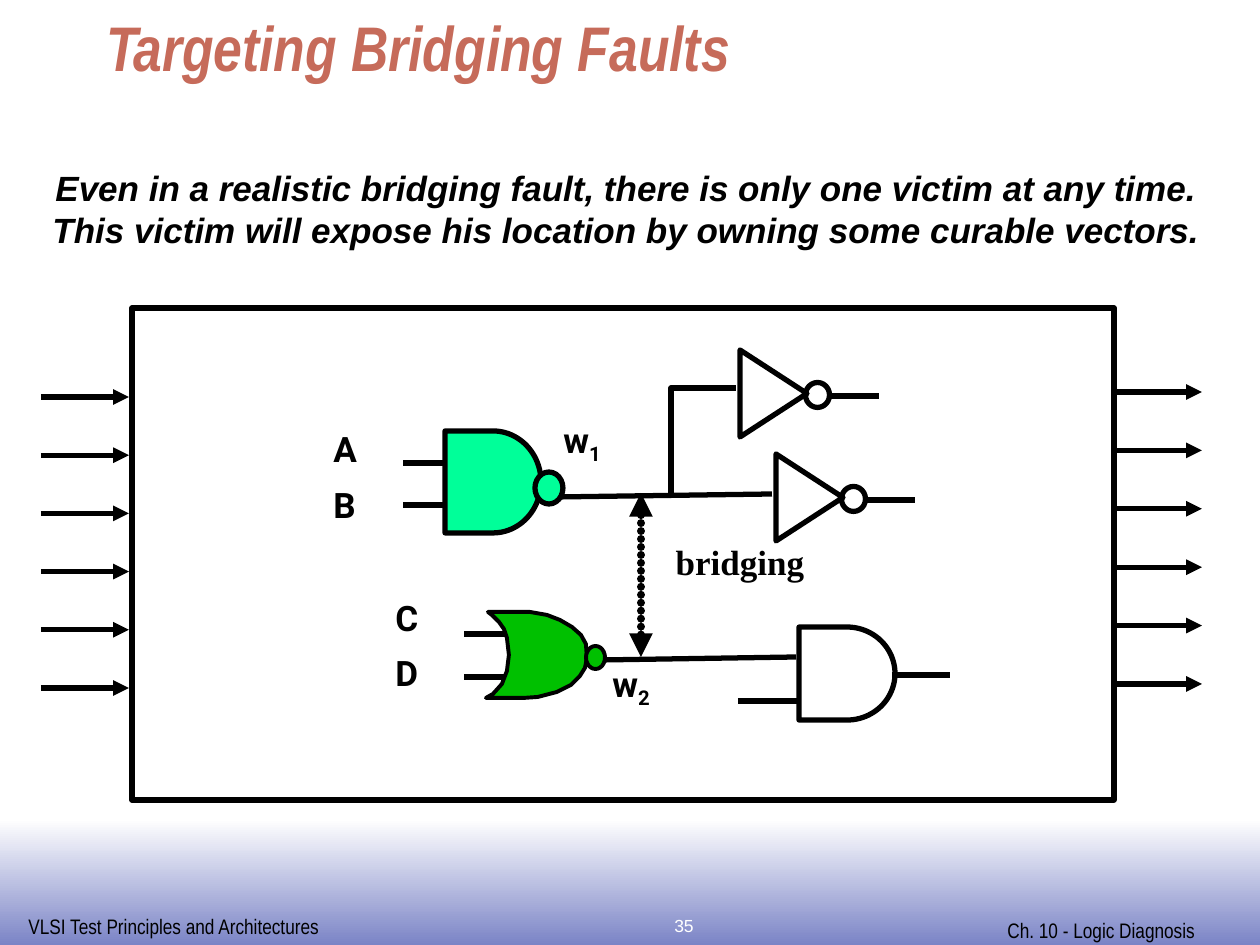
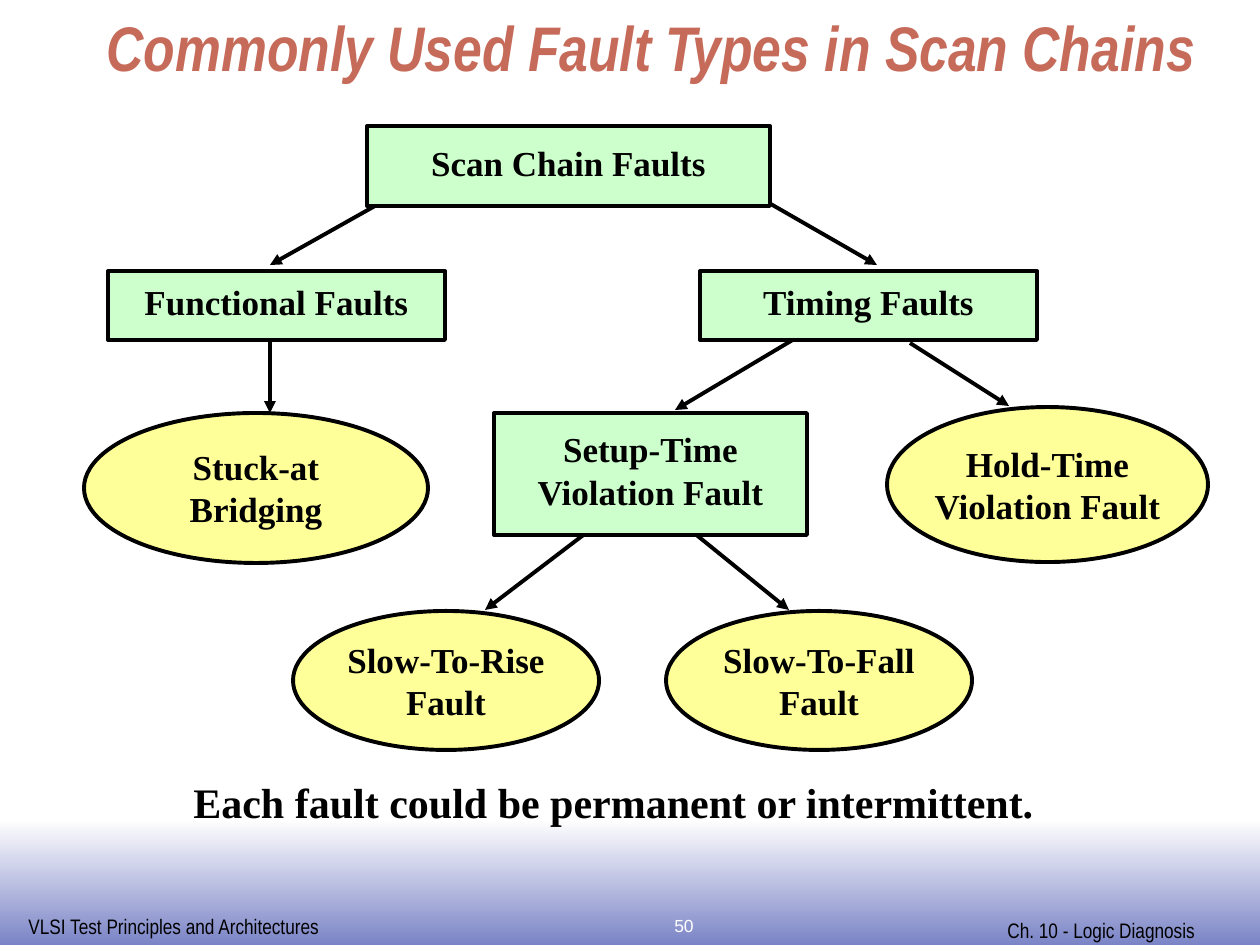
from lxml import etree
from pptx import Presentation
from pptx.dml.color import RGBColor
from pptx.enum.shapes import MSO_CONNECTOR, MSO_SHAPE as Preset
from pptx.enum.text import MSO_ANCHOR as Anchor, PP_ALIGN as Align
from pptx.oxml.ns import qn
from pptx.util import Emu, Pt

SCALE = 914400 / 126  # EMU in one px
COLORS = {
    "title": "C66B5A", "ink": "000000", "white": "FFFFFF", "band": "7B84C6",
    "nand": "00FF99", "nor": "00C000", "group": "CCFFCC", "leaf": "FFFF99",
}
SANS, NARROW, LABEL, SERIF = "Arial", "Arial Narrow", "Roboto", "Times New Roman"

# Shared footers: text, box
FOOTERS = [
    ("VLSI Test Principles and Architectures", (16, 907, 319, 38)),
    ("Ch. 10 - Logic Diagnosis", (995, 911, 247, 38)),
]
NUMBER_BOX = (537, 909, 294, 36)

# Bridging slide
INTRO = [
    "Even in a realistic bridging fault, there is only one victim at any time.",
    "This victim will expose his location by owning some curable vectors.",
]
CIRCUIT = (132, 308, 982, 492)
PIN_COUNT = 6
# start x, end x, first y, last y
PIN_COLUMNS = [(41, 129, 397, 688), (1115, 1202, 392, 684)]
INPUT_LABELS = [("A", 321, 421), ("B", 321, 477), ("C", 383, 590), ("D", 383, 645)]
WIRE_LABELS = [("w", "1", 551, 412), ("w", "2", 600, 656)]
WIRES = [
    (601, 660, 796, 657), (557, 497, 772, 494),     # w2 and w1
    (505, 634, 464, 634), (505, 677, 464, 677),     # NOR inputs
    (445, 463, 403, 463), (445, 505, 403, 505),     # NAND inputs
    (738, 701, 798, 701), (892, 675, 950, 675),     # AND input and output
]
BRANCH = [(671, 495), (671, 388), (736, 388)]
BRIDGE = (641, 493, 641, 657)
GATES = [
    (Preset.FLOWCHART_DELAY, (445, 431, 96, 102), "nand"),
    (Preset.OVAL, (535, 472, 28, 32), "nand"),
    (Preset.FLOWCHART_DELAY, (799, 627, 96, 93), None),
]
INVERTER_OFFSETS = [(0, 0), (36, 104)]
NOR_OUTLINE = [
    (488, 612), (530, 612), (547, 615), (560, 620), (572, 627), (581, 635),
    (586, 644), (587, 658), (585, 668), (580, 676), (571, 685), (557, 692),
    (538, 697), (524, 698), (486, 698), (493, 694), (502, 684), (507, 671),
    (509, 655), (507, 638), (504, 629), (499, 622), (492, 615),
]
NOR_BUBBLE = (586, 646, 19, 23)

# Fault tree slide
GROUPS = [
    (["Scan Chain Faults"], (367, 126, 403, 80)),
    (["Functional Faults"], (108, 271, 337, 69)),
    (["Timing Faults"], (700, 271, 337, 69)),
    (["Setup-Time", "Violation Fault"], (494, 413, 313, 122)),
]
LEAVES = [
    (["Stuck-at", "Bridging"], (84, 413, 344, 150)),
    (["Hold-Time", "Violation Fault"], (887, 407, 321, 155)),
    (["Slow-To-Rise", "Fault"], (293, 611, 306, 139)),
    (["Slow-To-Fall", "Fault"], (666, 611, 306, 139)),
]
BRANCHES = [
    (375, 206, 270, 265), (769, 203, 877, 265), (270, 338, 270, 413),
    (796, 338, 675, 410), (910, 343, 1009, 406),
    (586, 533, 485, 610), (694, 533, 789, 610),
]
SUMMARY = "Each fault could be permanent or intermittent."


def px(*lengths):
    return [Emu(round(length * SCALE)) for length in lengths]


def color(name):
    return RGBColor.from_string(COLORS[name])


def write(shape, lines, font, size, ink="ink", bold=False, italic=False,
          align=Align.LEFT, spacing=None, gap=0, wrap=False, anchor=Anchor.TOP):
    frame = shape.text_frame
    frame.text = "\n".join(lines)
    frame.word_wrap = wrap
    frame.vertical_anchor = anchor
    for index, paragraph in enumerate(frame.paragraphs):
        paragraph.alignment = align
        if spacing:
            paragraph.line_spacing = spacing
        if index and gap:
            paragraph.space_before = Pt(gap)
        for run in paragraph.runs:
            style = run.font
            style.name, style.size = font, Pt(size)
            style.bold, style.italic = bold, italic
            style.color.rgb = color(ink)


def add_text(slide, box, lines, font, size, **options):
    shape = slide.shapes.add_textbox(*px(*box))
    write(shape, lines, font, size, **options)
    return shape


def paint(shape, fill=None, width=3):
    shape.shadow.inherit = False
    if fill:
        shape.fill.solid()
        shape.fill.fore_color.rgb = color(fill)
    else:
        shape.fill.background()
    shape.line.color.rgb = color("ink")
    shape.line.width = Pt(width)


def add_shape(slide, preset, box, fill=None, width=3, rotation=0):
    shape = slide.shapes.add_shape(preset, *px(*box))
    shape.rotation = rotation
    paint(shape, fill, width)
    return shape


def add_outline(slide, points, close, fill=None, width=3):
    builder = slide.shapes.build_freeform(*points[0], scale=SCALE)
    builder.add_line_segments(points[1:], close=close)
    paint(builder.convert_to_shape(), fill, width)


def add_line(slide, ends, width=3, arrows=(), dotted=False):
    line = slide.shapes.add_connector(MSO_CONNECTOR.STRAIGHT, *px(*ends))
    line.line.color.rgb = color("ink")
    line.line.width = Pt(width)
    outline = line.line._get_or_add_ln()
    if dotted:
        outline.set("cap", "rnd")
        dashes = etree.SubElement(outline, qn("a:custDash"))
        etree.SubElement(dashes, qn("a:ds"), d="1000", sp="100000")
    for end in arrows:
        etree.SubElement(outline, qn("a:" + end), type="triangle")
    etree.SubElement(line._element.spPr, qn("a:effectLst"))


def add_slide(presentation, title, title_width, number):
    slide = presentation.slides.add_slide(presentation.slide_layouts[5])

    # Bottom band and footers
    band = slide.shapes.add_shape(Preset.RECTANGLE, *px(0, 819, 1260, 126))
    band.shadow.inherit = False
    band.line.fill.background()
    band.fill.gradient()
    band.fill.gradient_angle = 270
    for stop, name in zip(band.fill.gradient_stops, ("white", "band")):
        stop.color.rgb = color(name)
    for text, box in FOOTERS:
        add_text(slide, box, [text], NARROW, 12)
    add_text(slide, NUMBER_BOX, [number], SANS, 10, ink="white",
             align=Align.CENTER, wrap=True)

    # Title
    heading = slide.shapes.title
    heading.left, heading.top, heading.width, heading.height = px(
        94, 17, title_width, 126)
    write(heading, [title], NARROW, 36, ink="title", bold=True, italic=True,
          spacing=0.8, wrap=True)
    return slide


def build_bridging(presentation):
    slide = add_slide(presentation, "Targeting Bridging Faults", 1071, "35")
    add_text(slide, (40, 168, 1173, 89), INTRO, SANS, 20, bold=True, italic=True,
             align=Align.CENTER, spacing=0.8, gap=5)

    # Circuit frame with its pins
    add_shape(slide, Preset.RECTANGLE, CIRCUIT)
    for start, end, first, last in PIN_COLUMNS:
        pitch = (last - first) / (PIN_COUNT - 1)
        for pin in range(PIN_COUNT):
            y = first + pin * pitch
            add_line(slide, (start, y, end, y), arrows=["tailEnd"])

    # Wires
    for ends in WIRES:
        add_line(slide, ends)
    add_outline(slide, BRANCH, close=False)

    # Gates
    for preset, box, fill in GATES:
        add_shape(slide, preset, box, fill)
    for dx, dy in INVERTER_OFFSETS:
        add_shape(slide, Preset.ISOSCELES_TRIANGLE, (730 + dx, 360 + dy, 87, 67),
                  rotation=90)
        add_shape(slide, Preset.OVAL, (805 + dx, 383 + dy, 25, 24), rotation=90)
        add_line(slide, (828 + dx, 396 + dy, 879 + dx, 396 + dy))
    add_outline(slide, NOR_OUTLINE, close=True, fill="nor", width=2.25)
    add_shape(slide, Preset.OVAL, NOR_BUBBLE, "nor", 2.25)

    # Bridge
    add_line(slide, BRIDGE, 4.5, ["headEnd", "tailEnd"], dotted=True)
    add_text(slide, (663, 534, 154, 55), ["bridging"], SERIF, 20, bold=True,
             align=Align.CENTER)

    # Signal labels
    for text, left, top in INPUT_LABELS:
        add_text(slide, (left, top, 96, 55), [text], LABEL, 20, bold=True, wrap=True)
    for text, index, left, top in WIRE_LABELS:
        label = add_text(slide, (left, top, 123, 60), [text], LABEL, 20,
                         bold=True, wrap=True)
        subscript = label.text_frame.paragraphs[0].add_run()
        subscript.text = index
        style = subscript.font
        style.name, style.size, style.bold = LABEL, Pt(20), True
        style.color.rgb = color("ink")
        subscript._r.get_or_add_rPr().set("baseline", "-25000")


def build_fault_tree(presentation):
    slide = add_slide(presentation, "Commonly Used Fault Types in Scan Chains",
                      1134, "50")
    for ends in BRANCHES:
        add_line(slide, ends, 2.25, ["tailEnd"])
    kinds = [
        (GROUPS, Preset.RECTANGLE, "group", {"spacing": 0.8, "gap": 5}),
        (LEAVES, Preset.OVAL, "leaf", {}),
    ]
    for nodes, preset, fill, options in kinds:
        for lines, box in nodes:
            node = add_shape(slide, preset, box, fill, 2.25)
            write(node, lines, SERIF, 20, bold=True, align=Align.CENTER,
                  anchor=Anchor.MIDDLE, **options)
    add_text(slide, (180, 780, 867, 53), [SUMMARY], SERIF, 24, bold=True,
             align=Align.CENTER, spacing=0.8)


def main():
    presentation = Presentation()
    presentation.slide_width, presentation.slide_height = px(1260, 945)
    build_bridging(presentation)
    build_fault_tree(presentation)
    presentation.save("out.pptx")


if __name__ == "__main__":
    main()
